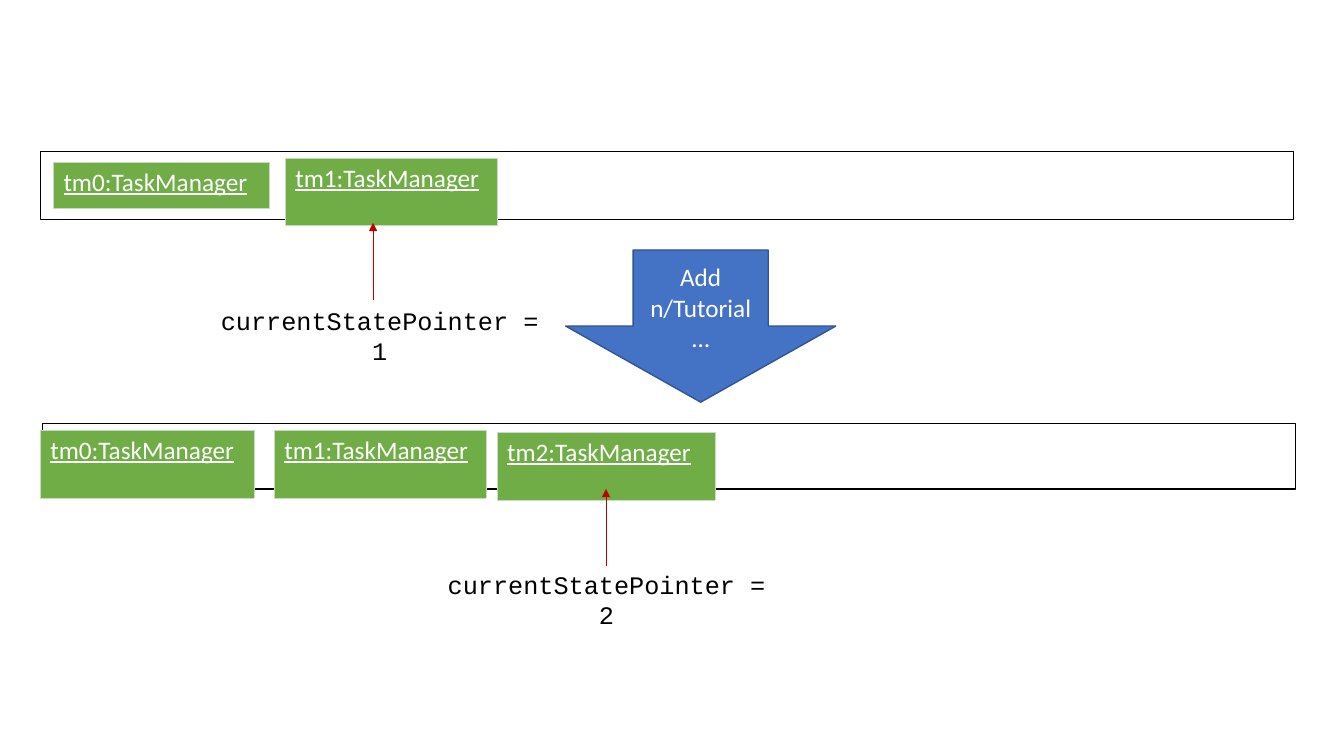
from typing import NamedTuple

import pptx
import pptx.dml.color
import pptx.enum.shapes
import pptx.enum.text
import pptx.oxml
import pptx.oxml.ns
import pptx.util
from pptx.util import Inches

HUES = {
    "blue": "4472C4",
    "edge": "325491",
    "green": "70AD47",
    "rim": "C9DBC1",
    "red": "C00000",
    "black": "000000",
    "white": "FFFFFF",
}
NS = pptx.oxml.ns.nsdecls("a")
SHAPE = pptx.enum.shapes.MSO_SHAPE
CENTER = pptx.enum.text.PP_ALIGN.CENTER


class Bar(NamedTuple):
    left: float
    top: float
    height: float


class State(NamedTuple):
    name: str
    left: float
    top: float
    width: float
    height: float


class Pointer(NamedTuple):
    value: int
    left: float
    top: float
    tip_x: float
    tip_y: float


BARS = [Bar(0.4, 1.5, 0.68), Bar(0.42, 4.2, 0.65)]
STATES = [
    State("tm0", 0.53, 1.61, 2.14, 0.46),
    State("tm1", 2.83, 1.57, 2.1, 0.67),
    State("tm2", 4.93, 4.29, 2.16, 0.67),
    State("tm1", 2.72, 4.27, 2.1, 0.67),
    State("tm0", 0.4, 4.27, 2.12, 0.67),
]
POINTERS = [Pointer(1, 2.01, 2.98, 3.7, 2.21), Pointer(2, 4.26, 5.6, 6.01, 4.85)]


def hue(name: str) -> pptx.dml.color.RGBColor:
    return pptx.dml.color.RGBColor.from_string(HUES[name])


def style(para, text: str, face: str, tint: str) -> None:
    para.text = text
    para.font.size = pptx.util.Pt(18)
    para.font.name = face
    para.font.color.rgb = hue(tint)


def draw_bar(slide, bar: Bar) -> None:
    box = slide.shapes.add_shape(
        SHAPE.RECTANGLE, Inches(bar.left), Inches(bar.top), Inches(12.43), Inches(bar.height))
    box.shadow.inherit = False
    box.fill.background()
    box.line.color.rgb = hue("black")
    box.line.width = pptx.util.Pt(1)


def draw_state(slide, state: State) -> None:
    table = slide.shapes.add_table(
        1, 1, Inches(state.left), Inches(state.top),
        Inches(state.width), Inches(state.height)).table
    cell = table.cell(0, 0)
    para = cell.text_frame.paragraphs[0]
    style(para, f"{state.name}:TaskManager", "Calibri", "white")
    para.font.bold = False
    para.font.underline = True
    props = cell._tc.get_or_add_tcPr()
    for side in ("lnL", "lnR", "lnT", "lnB"):
        props.append(pptx.oxml.parse_xml(
            f'<a:{side} {NS} w="6350"><a:solidFill>'
            f'<a:srgbClr val="{HUES["rim"]}"/></a:solidFill></a:{side}>'))
    cell.fill.solid()
    cell.fill.fore_color.rgb = hue("green")


def draw_step(slide) -> None:
    step = slide.shapes.add_shape(
        SHAPE.DOWN_ARROW, Inches(5.61), Inches(2.48), Inches(2.68), Inches(1.51))
    step.shadow.inherit = False
    step.fill.solid()
    step.fill.fore_color.rgb = hue("blue")
    step.line.color.rgb = hue("edge")
    step.line.width = pptx.util.Pt(1)
    frame = step.text_frame
    frame.vertical_anchor = pptx.enum.text.MSO_ANCHOR.MIDDLE
    para = frame.paragraphs[0]
    style(para, "Add n/Tutorial…", "Calibri", "white")
    para.alignment = CENTER


def draw_pointer(slide, mark: Pointer) -> None:
    label = slide.shapes.add_textbox(
        Inches(mark.left), Inches(mark.top), Inches(3.51), Inches(0.4))
    frame = label.text_frame
    frame.word_wrap = True
    frame.auto_size = pptx.enum.text.MSO_AUTO_SIZE.SHAPE_TO_FIT_TEXT
    para = frame.paragraphs[0]
    style(para, f"currentStatePointer = {mark.value}", "Courier New", "black")
    para.alignment = CENTER

    arrow = slide.shapes.add_connector(
        pptx.enum.shapes.MSO_CONNECTOR.STRAIGHT,
        Inches(mark.tip_x), Inches(mark.tip_y + 0.77),
        Inches(mark.tip_x), Inches(mark.tip_y))
    arrow.line.color.rgb = hue("red")
    arrow.line.width = pptx.util.Pt(0.5)
    arrow.line._get_or_add_ln().append(
        pptx.oxml.parse_xml(f'<a:tailEnd {NS} type="triangle"/>'))
    arrow._element.spPr.append(pptx.oxml.parse_xml(f"<a:effectLst {NS}/>"))


def main() -> None:
    deck = pptx.Presentation()
    deck.slide_width = Inches(13.33)
    deck.slide_height = Inches(7.5)
    slide = deck.slides.add_slide(deck.slide_layouts[6])
    draw_step(slide)
    for bar in BARS:
        draw_bar(slide, bar)
    for state in STATES:
        draw_state(slide, state)
    for mark in POINTERS:
        draw_pointer(slide, mark)
    deck.save("out.pptx")


if __name__ == "__main__":
    main()
